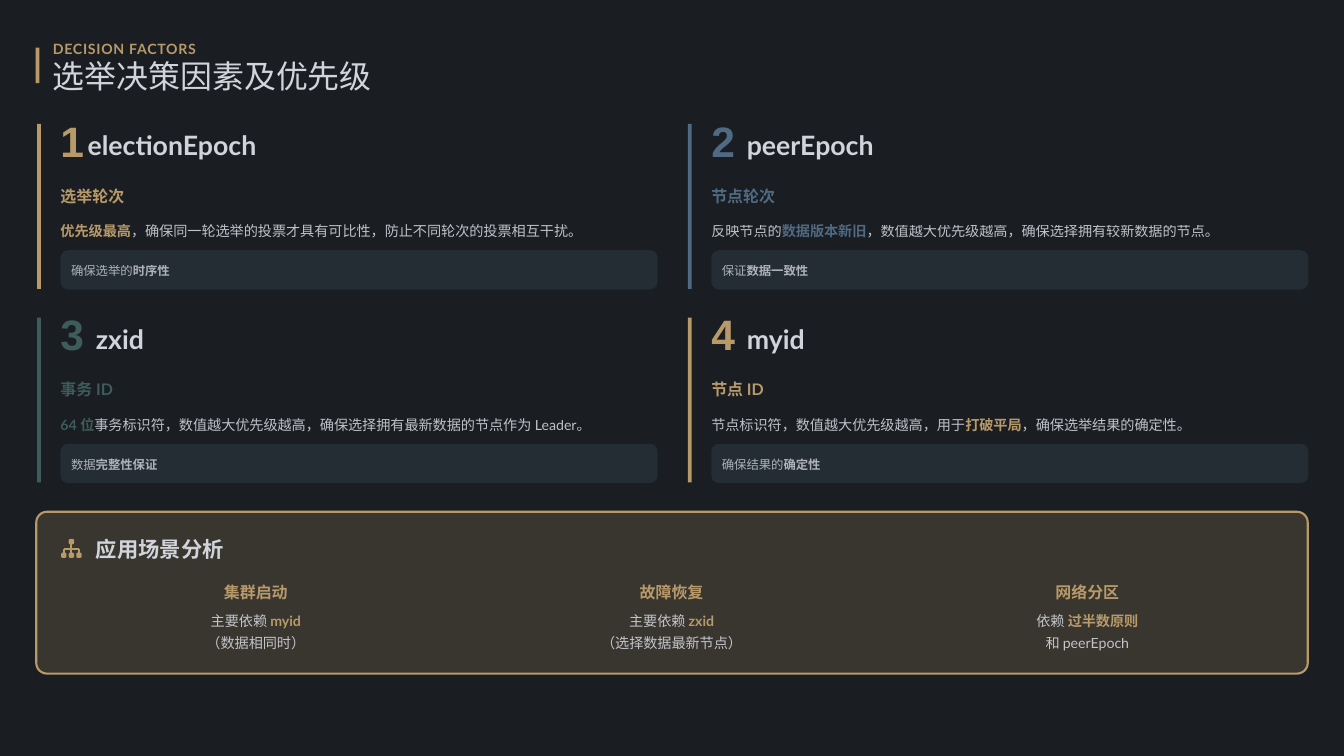
from dataclasses import dataclass

from lxml.etree import SubElement
from pptx import Presentation
from pptx.dml.color import RGBColor
from pptx.enum.shapes import MSO_CONNECTOR as Link, MSO_SHAPE as Shape
from pptx.enum.text import MSO_ANCHOR as Anchor, MSO_AUTO_SIZE as Auto, PP_ALIGN as Align
from pptx.oxml.ns import qn
from pptx.util import Inches, Pt

GOLD, BLUE, GREEN = "B89A6A", "4F6A82", "3E5C5A"
LIGHT, DARK = "D1D5DB", "1A1D21"
LATIN, HAN = "Lato", "Noto Sans CJK SC"


@dataclass
class Style:
    size: float
    color: str = LIGHT
    bold: bool = False
    lines: float = 1.0
    accent: str = LIGHT
    alpha: int = 100
    font: str = LATIN
    align: Align = Align.LEFT
    gap: int = 0


@dataclass
class Card:
    color: str
    name: str
    label: str
    text: str
    note: str
    num_w: float = 0.61
    name_x: float = 0.47


@dataclass
class Case:
    name: str
    text: str


# Text between asterisks is bold and takes the accent colour
CARDS = [
    Card(GOLD, "electionEpoch", "选举轮次",
         "*优先级最高*，确保同一轮选举的投票才具有可比性，防止不同轮次的投票相互干扰。",
         "确保选举的*时序性*", 0.5, 0.36),
    Card(BLUE, "peerEpoch", "节点轮次",
         "反映节点的*数据版本新旧*，数值越大优先级越高，确保选择拥有较新数据的节点。",
         "保证*数据一致性*"),
    Card(GREEN, "zxid", "事务 ID",
         "*64 位*事务标识符，数值越大优先级越高，确保选择拥有最新数据的节点作为 Leader。",
         "数据*完整性保证*"),
    Card(GOLD, "myid", "节点 ID",
         "节点标识符，数值越大优先级越高，用于*打破平局*，确保选举结果的确定性。",
         "确保结果的*确定性*"),
]
CASES = [
    Case("集群启动", "主要依赖 *myid*\n（数据相同时）"),
    Case("故障恢复", "主要依赖 *zxid*\n（选择数据最新节点）"),
    Case("网络分区", "依赖 *过半数原则*\n和 peerEpoch"),
]


def tint(fill, color: str) -> None:
    fill.solid()
    fill.fore_color.rgb = RGBColor.from_string(color)


def fade(node, alpha: int) -> None:
    """Make the first colour inside the node partly transparent."""
    if alpha < 100:
        SubElement(node.find(".//" + qn("a:srgbClr")), qn("a:alpha"), val=str(alpha * 1000))


def write(shape, text: str, style: Style) -> None:
    frame = shape.text_frame
    frame.word_wrap, frame.auto_size = True, Auto.NONE
    frame.vertical_anchor = Anchor.MIDDLE
    frame.margin_left = frame.margin_right = frame.margin_top = frame.margin_bottom = 0
    for i, line in enumerate(text.split("\n")):
        para = frame.add_paragraph() if i else frame.paragraphs[0]
        para.alignment, para.line_spacing = style.align, style.lines
        for j, part in enumerate(line.split("*")):
            if not part:
                continue
            run, strong = para.add_run(), j % 2 == 1
            run.text = part
            font = run.font
            font.size, font.name = Pt(style.size), style.font
            font.bold = style.bold or strong
            tint(font.fill, style.accent if strong else style.color)
            props = run._r.get_or_add_rPr()
            SubElement(props, qn("a:ea"), typeface=HAN)
            if style.gap:
                props.set("spc", str(style.gap))
            if not strong or style.accent == style.color:
                fade(props, style.alpha)


def label(x: float, y: float, w: float, h: float, text: str, style: Style) -> None:
    box = slide.shapes.add_textbox(Inches(x), Inches(y), Inches(w), Inches(h))
    write(box, text, style)


def block(x: float, y: float, w: float, h: float, color: str,
          radius: float = 0, alpha: int = 100, edge: str = ""):
    kind = Shape.ROUNDED_RECTANGLE if radius else Shape.RECTANGLE
    shape = slide.shapes.add_shape(kind, Inches(x), Inches(y), Inches(w), Inches(h))
    shape.shadow.inherit = False
    if radius:
        shape.adjustments[0] = radius / min(w, h)
    tint(shape.fill, color)
    fade(shape._element.spPr, alpha)
    if edge:
        tint(shape.line.fill, edge)
        shape.line.width = Pt(2)
    else:
        shape.line.fill.background()
    return shape


def line(x1: float, y1: float, x2: float, y2: float, color: str):
    wire = slide.shapes.add_connector(
        Link.STRAIGHT, Inches(x1), Inches(y1), Inches(x2), Inches(y2))
    tint(wire.line.fill, color)
    wire.line.width = Pt(2)
    SubElement(wire._element.spPr, qn("a:effectLst"))
    return wire


def draw_card(x: float, y: float, num: int, card: Card) -> None:
    hue = card.color
    block(x - 0.31, y, 0.05, 2.18, hue)
    label(x, y, card.num_w, 0.56, str(num), Style(40.5, hue, True, 0.8, font="Arial"))
    label(x + card.name_x, y + 0.07, 2.46, 0.42, card.name, Style(25.4, bold=True))
    label(x, y + 0.75, 8, 0.33, card.label, Style(15.2, hue, True, 1.3))
    label(x, y + 1.22, 7.99, 0.31, card.text, Style(13.5, lines=1.4, accent=hue, alpha=90))
    block(x, y + 1.67, 7.9, 0.52, BLUE, radius=0.1, alpha=20)
    label(x + 0.14, y + 1.81, 7.7, 0.23, card.note, Style(11.8, lines=1.2, alpha=80))


def draw_tree(x: float, y: float) -> None:
    side, step, bar = 0.07, 0.1, y + 0.13
    root = block(x + step, y, side, side, GOLD, 0.02)
    mids = [x + i * step + side / 2 for i in range(3)]
    line(mids[0], bar, mids[2], bar, GOLD)
    for i, mid in enumerate(mids):
        leaf = block(x + i * step, y + 0.18, side, side, GOLD, 0.02)
        stem = line(mid, bar, mid, y + 0.18, GOLD)
        stem.end_connect(leaf, 0)
        if i == 1:
            stem.begin_connect(root, 2)


def draw_case(x: float, case: Case) -> None:
    mid = Align.CENTER
    label(x, 7.63, 5.33, 0.33, case.name, Style(15.2, GOLD, True, 1.3, align=mid))
    label(x, 8.05, 5.33, 0.56, case.text,
          Style(13.5, lines=1.3, accent=GOLD, alpha=90, align=mid))


deck = Presentation()
deck.slide_width, deck.slide_height = Inches(17.78), Inches(10)
slide = deck.slides.add_slide(deck.slide_layouts[5])
tint(slide.background.fill, DARK)

# Heading
block(0.47, 0.63, 0.05, 0.47, GOLD)
label(0.7, 0.47, 4.32, 0.28, "DECISION FACTORS", Style(13.5, GOLD, True, 1.3, gap=70))
title = slide.shapes.title
title.left, title.top = Inches(0.7), Inches(0.8)
title.width, title.height = Inches(4.44), Inches(0.47)
write(title, "选举决策因素及优先级", Style(30.4, lines=0.9, font=HAN))

# Two by two grid of factors
for i, card in enumerate(CARDS):
    row, col = divmod(i, 2)
    draw_card(0.8 + 8.61 * col, 1.64 + 2.56 * row, i + 1, card)

# Panel of use cases
block(0.48, 6.77, 16.82, 2.14, GOLD, radius=0.14, alpha=20, edge=GOLD)
draw_tree(0.81, 7.13)
label(1.27, 7.06, 1.83, 0.38, "应用场景分析", Style(20.3, bold=True, lines=1.1))
for i, case in enumerate(CASES):
    draw_case(0.72 + 5.5 * i, case)

deck.save("out.pptx")
